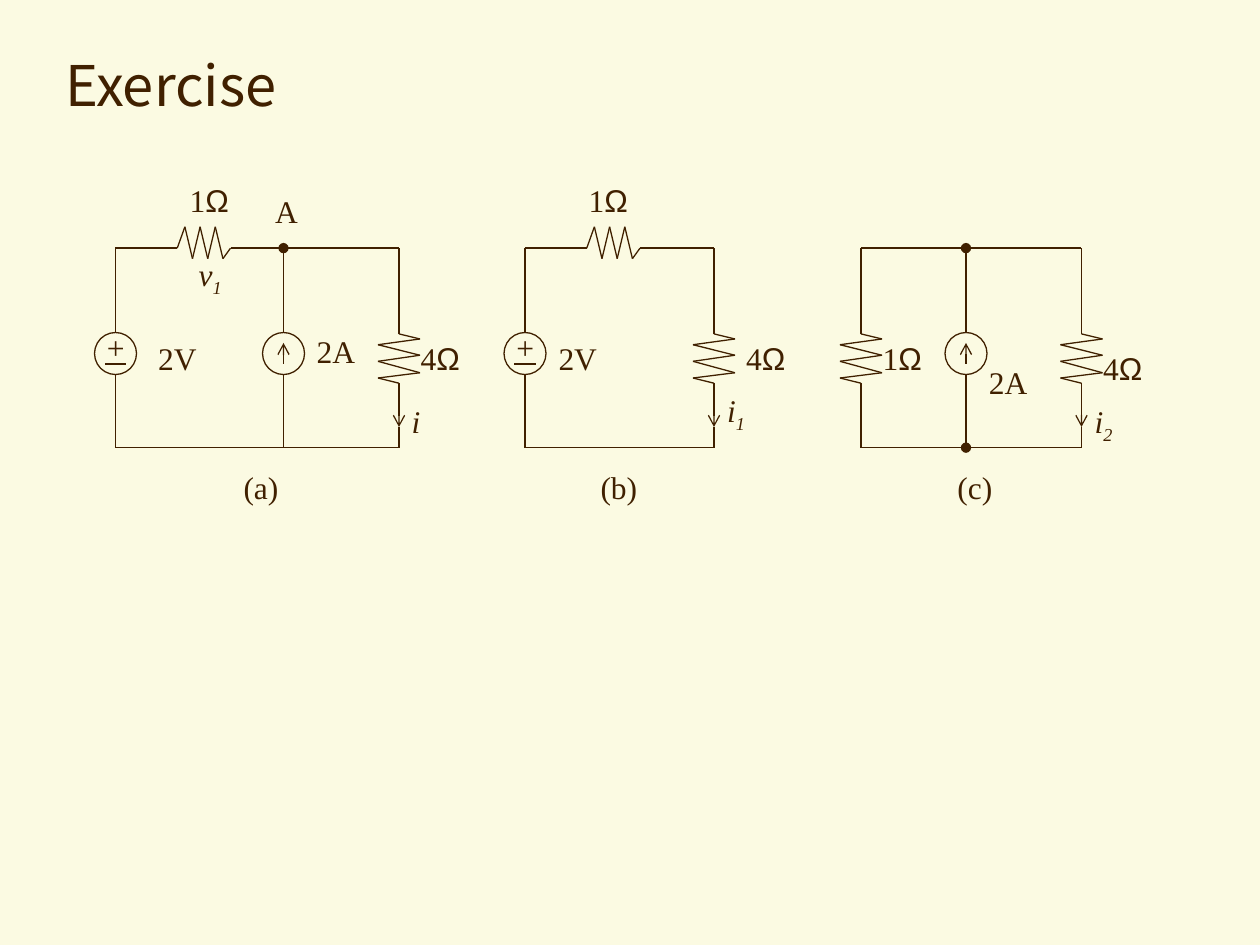
import pptx
import pptx.util
import pptx.dml.color
import pptx.enum.shapes
import pptx.enum.text
import pptx.oxml.ns
import lxml.etree

Pt = pptx.util.Pt
qn = pptx.oxml.ns.qn

THEME = {
    "paper": pptx.dml.color.RGBColor(0xFB, 0xFA, 0xE2),
    "ink": pptx.dml.color.RGBColor(0x40, 0x20, 0x00),
    "title_font": "Noto Sans CJK KR",
    "label_font": "Times New Roman",
    "symbol_font": "Arial",
    "title_size": 32,
    "label_size": 18,
    "line_width": 0.75,
}

TITLE = "Exercise"
TOP, BOTTOM = 141.8, 255.8
SOURCE_TOP, SOURCE_SIZE = 190, 24
SOURCE_BOTTOM = SOURCE_TOP + SOURCE_SIZE
CURRENT_TIP, RESISTOR_END = 244, 226

CIRCUITS = [
    {
        "columns": [("voltage", 66), ("current", 162), ("load", 228)],
        "series": 101.3,
        "nodes": [(162, TOP)],
        "labels": [
            ("1Ω", 101.3, 100, 36.8), ("A", 150.2, 106, 27.5),
            ("2V", 83.3, 190, 36.5), ("2A", 173.9, 186, 36.5),
            ("4Ω", 233.3, 190, 36.8), ("(a)", 132.1, 264, 34.8),
        ],
        "variables": [("v", "1", 106.5, 142, 31.8), ("i", "", 228.2, 226, 19.5)],
    },
    {
        "columns": [("voltage", 300), ("load", 408)],
        "series": 335.3,
        "nodes": [],
        "labels": [
            ("1Ω", 329.3, 100, 36.8), ("2V", 312.1, 190, 36.5),
            ("4Ω", 419.3, 190, 36.8), ("(b)", 336.1, 264, 35.5),
        ],
        "variables": [("i", "1", 408.4, 220, 24.6)],
    },
    {
        "columns": [("resistor", 492), ("current", 552), ("load", 618)],
        "series": None,
        "nodes": [(552, TOP), (552, BOTTOM)],
        "labels": [
            ("1Ω", 497.3, 190, 36.8), ("2A", 558, 204, 36.5),
            ("4Ω", 623.3, 196, 36.8), ("(c)", 540, 264, 34.8),
        ],
        "variables": [("i", "2", 618.5, 226, 24.6)],
    },
]

UPRIGHT_ZIGZAG = [(0, 178), (0, 190.8), (12, 193.7), (-12, 197), (12, 203),
                  (-12, 206.5), (12, 213), (-12, 216), (0, 219), (0, 232)]
LEVEL_STEP = 4.35
LEVEL_HEIGHTS = [TOP] + [129.6, 147.8] * 3 + [TOP]


def add_line(shapes, start, end, head=None, tail=None):
    line = shapes.add_connector(
        pptx.enum.shapes.MSO_CONNECTOR.STRAIGHT,
        *(Pt(value) for value in (*start, *end)))
    line.line.color.rgb = THEME["ink"]
    line.line.width = Pt(THEME["line_width"])
    properties = line._element.spPr
    outline = properties.find(qn("a:ln"))
    for tag, kind in (("a:headEnd", head), ("a:tailEnd", tail)):
        if kind:
            lxml.etree.SubElement(outline, qn(tag), type=kind)
    lxml.etree.SubElement(properties, qn("a:effectLst"))


def add_path(shapes, points):
    group = shapes.add_group_shape()
    for start, end in zip(points, points[1:]):
        add_line(group.shapes, start, end)


def add_span(para, text, font="label_font", size="label_size", italic=False,
             subscript=False):
    span = para.add_run()
    span.text = text
    span.font.name = THEME[font]
    span.font.size = Pt(THEME[size])
    span.font.color.rgb = THEME["ink"]
    if italic:
        span.font.italic = True
    if subscript:
        span.font._element.set("baseline", "-25000")


def add_label(shapes, text, left, top, width, index="", italic=False):
    box = shapes.add_textbox(Pt(left), Pt(top), Pt(width), Pt(32 if index else 29))
    box.text_frame.word_wrap = False
    box.text_frame.auto_size = pptx.enum.text.MSO_AUTO_SIZE.SHAPE_TO_FIT_TEXT
    para = box.text_frame.paragraphs[0]
    value = text.rstrip("Ω")
    add_span(para, value, italic=italic)
    if value != text:
        add_span(para, "Ω", font="symbol_font")
    if index:
        add_span(para, index, italic=italic, subscript=True)


def add_source(shapes, kind, x):
    group = shapes.add_group_shape().shapes
    if kind == "voltage":
        add_label(group, "+", x - 12, 183.6, 24.6)
        add_line(group, (x - 6, 208), (x + 6, 208))
    else:
        add_line(group, (x, 208), (x, 196), tail="arrow")
    circle = group.add_shape(
        pptx.enum.shapes.MSO_SHAPE.OVAL, Pt(x - SOURCE_SIZE / 2),
        Pt(SOURCE_TOP), Pt(SOURCE_SIZE), Pt(SOURCE_SIZE))
    circle.shadow.inherit = False
    circle.fill.background()
    circle.line.color.rgb = THEME["ink"]
    circle.line.width = Pt(THEME["line_width"])


def add_column(shapes, kind, x, nodes):
    top_mark = "oval" if (x, TOP) in nodes else None
    bottom_mark = "oval" if (x, BOTTOM) in nodes else None
    add_line(shapes, (x, TOP), (x, SOURCE_TOP), head=top_mark)
    if kind in ("voltage", "current"):
        add_source(shapes, kind, x)
        add_line(shapes, (x, SOURCE_BOTTOM), (x, BOTTOM), tail=bottom_mark)
        return
    add_path(shapes, [(x + shift, y) for shift, y in UPRIGHT_ZIGZAG])
    if kind == "load":
        add_line(shapes, (x, RESISTOR_END), (x, CURRENT_TIP), tail="arrow")
        add_line(shapes, (x, CURRENT_TIP), (x, BOTTOM))
    else:
        add_line(shapes, (x, RESISTOR_END), (x, BOTTOM))


def add_circuit(shapes, circuit):
    columns = circuit["columns"]
    stops = [x for _, x in columns]
    series = circuit["series"]
    if series:
        zigzag = [(series + LEVEL_STEP * step, y)
                  for step, y in enumerate(LEVEL_HEIGHTS)]
        add_path(shapes, zigzag)
        add_line(shapes, (stops[0], TOP), zigzag[0])
        stops[0] = zigzag[-1][0]
    for left, right in zip(stops, stops[1:]):
        add_line(shapes, (left, TOP), (right, TOP))
    add_line(shapes, (columns[0][1], BOTTOM), (columns[-1][1], BOTTOM))
    for kind, x in columns:
        add_column(shapes, kind, x, circuit["nodes"])
    for text, left, top, width in circuit["labels"]:
        add_label(shapes, text, left, top, width)
    for text, index, left, top, width in circuit["variables"]:
        add_label(shapes, text, left, top, width, index=index, italic=True)


def add_title(page):
    title = page.shapes.title
    title.left, title.top, title.width, title.height = map(Pt, (30, 18, 660, 60))
    frame = title.text_frame
    frame.auto_size = pptx.enum.text.MSO_AUTO_SIZE.NONE
    frame.vertical_anchor = pptx.enum.text.MSO_ANCHOR.MIDDLE
    para = frame.paragraphs[0]
    para.alignment = pptx.enum.text.PP_ALIGN.LEFT
    add_span(para, TITLE, font="title_font", size="title_size")


def main():
    deck = pptx.Presentation()
    deck.slide_width, deck.slide_height = Pt(720), Pt(540)
    page = deck.slides.add_slide(deck.slide_layouts[5])
    page.background.fill.solid()
    page.background.fill.fore_color.rgb = THEME["paper"]
    add_title(page)
    for circuit in CIRCUITS:
        add_circuit(page.shapes, circuit)
    deck.save("out.pptx")


if __name__ == "__main__":
    main()
